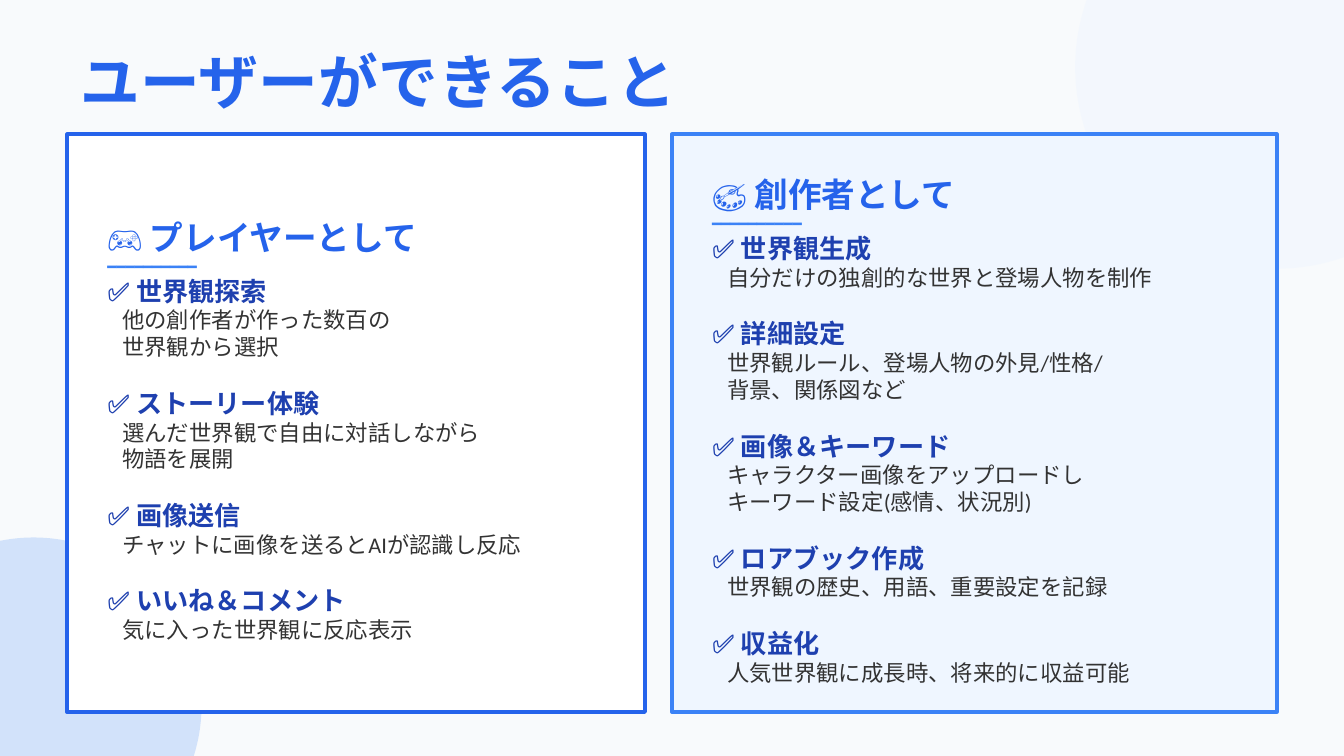
from lxml.etree import SubElement
from pptx import Presentation
from pptx.dml.color import RGBColor
from pptx.enum.shapes import MSO_SHAPE as Shape
from pptx.enum.text import MSO_ANCHOR as Anchor, MSO_AUTO_SIZE as AutoSize, PP_ALIGN as Align
from pptx.oxml.ns import qn
from pptx.util import Cm, Pt

PAPER = RGBColor(0xF8, 0xFA, 0xFC)
WHITE = RGBColor(0xFF, 0xFF, 0xFF)
PALE = RGBColor(0xEF, 0xF6, 0xFF)
SKY = RGBColor(0x3B, 0x82, 0xF6)
BLUE = RGBColor(0x25, 0x63, 0xEB)
NAVY = RGBColor(0x1E, 0x40, 0xAF)
INK = RGBColor(0x33, 0x33, 0x33)

FONT = "Calibri"
RULE = "━" * 10
INSET = 0.51
STYLES = {
    "title": {"size": Pt(32), "bold": True, "color": BLUE},
    "heading": {"size": Pt(18), "bold": True, "color": BLUE},
    "rule": {"size": Pt(8), "bold": False, "color": SKY},
    "item": {"size": Pt(14), "bold": True, "color": NAVY},
    "detail": {"size": Pt(12), "bold": False, "color": INK},
}

PLAYER = ("🎮 プレイヤーとして", [
    ("世界観探索", ["他の創作者が作った数百の", "世界観から選択"]),
    ("ストーリー体験", ["選んだ世界観で自由に対話しながら", "物語を展開"]),
    ("画像送信", ["チャットに画像を送るとAIが認識し反応"]),
    ("いいね＆コメント", ["気に入った世界観に反応表示"]),
])
CREATOR = ("🎨 創作者として", [
    ("世界観生成", ["自分だけの独創的な世界と登場人物を制作"]),
    ("詳細設定", ["世界観ルール、登場人物の外見/性格/", "背景、関係図など"]),
    ("画像＆キーワード", ["キャラクター画像をアップロードし", "キーワード設定(感情、状況別)"]),
    ("ロアブック作成", ["世界観の歴史、用語、重要設定を記録"]),
    ("収益化", ["人気世界観に成長時、将来的に収益可能"]),
])


def style_font(font, style):
    font.name = FONT
    for name, value in STYLES[style].items():
        if name == "color":
            font.color.rgb = value
        else:
            setattr(font, name, value)


def set_frame(frame):
    settings = {"word_wrap": True, "auto_size": AutoSize.NONE, "vertical_anchor": Anchor.MIDDLE}
    for name, value in settings.items():
        setattr(frame, name, value)


def add_title(page, text):
    title = page.shapes.title
    place = {"left": Cm(1.27), "top": Cm(0.76), "width": Cm(22.86), "height": Cm(1.52)}
    for name, value in place.items():
        setattr(title, name, value)
    set_frame(title.text_frame)
    para = title.text_frame.paragraphs[0]
    para.alignment = Align.LEFT
    span = para.add_run()
    span.text = text
    style_font(span.font, "title")


def add_plain_shape(page, kind, place, fill):
    shape = page.shapes.add_shape(kind, *map(Cm, place))
    shape.shadow.inherit = False
    shape.fill.solid()
    shape.fill.fore_color.rgb = fill
    return shape


def add_circle(page, left, top, size, fill, opacity):
    circle = add_plain_shape(page, Shape.OVAL, (left, top, size, size), fill)
    circle.line.fill.background()
    color = circle.fill._xPr.find(qn("a:solidFill"))[0]
    SubElement(color, qn("a:alpha")).set("val", str(opacity * 1000))


def add_line(frame, text, style, indent=0, gap=0):
    para = frame.paragraphs[0]
    if para.runs:
        para = frame.add_paragraph()
    if indent:
        para._p.get_or_add_pPr().set("marL", str(Cm(indent)))
    if gap:
        para.space_before = Pt(gap)
    span = para.add_run()
    span.text = text
    style_font(span.font, style)


def add_card(page, left, width, fill, border, content):
    top, height = 2.54, 10.92
    card = add_plain_shape(page, Shape.RECTANGLE, (left, top, width, height), fill)
    card.line.color.rgb = border
    card.line.width = Pt(2)

    place = (left + INSET, top + INSET, width - 1.5 * INSET, height - 1.5 * INSET)
    box = page.shapes.add_textbox(*map(Cm, place))
    frame = box.text_frame
    set_frame(frame)
    heading, items = content
    add_line(frame, heading, "heading")
    add_line(frame, RULE, "rule")
    for index, (item, details) in enumerate(items):
        add_line(frame, f"✅ {item}", "item", gap=14.5 if index else 0)
        for detail in details:
            add_line(frame, detail, "detail", indent=0.28)


def main():
    deck = Presentation()
    deck.slide_width, deck.slide_height = Cm(25.4), Cm(14.29)
    page = deck.slides.add_slide(deck.slide_layouts[5])
    page.background.fill.solid()
    page.background.fill.fore_color.rgb = PAPER
    add_circle(page, 20.32, -2.54, 7.62, PALE, 50)
    add_circle(page, -2.54, 10.16, 6.35, SKY, 20)
    add_title(page, "ユーザーができること")
    add_card(page, 1.27, 10.92, WHITE, BLUE, PLAYER)
    add_card(page, 12.7, 11.43, PALE, SKY, CREATOR)
    deck.save("out.pptx")


if __name__ == "__main__":
    main()
